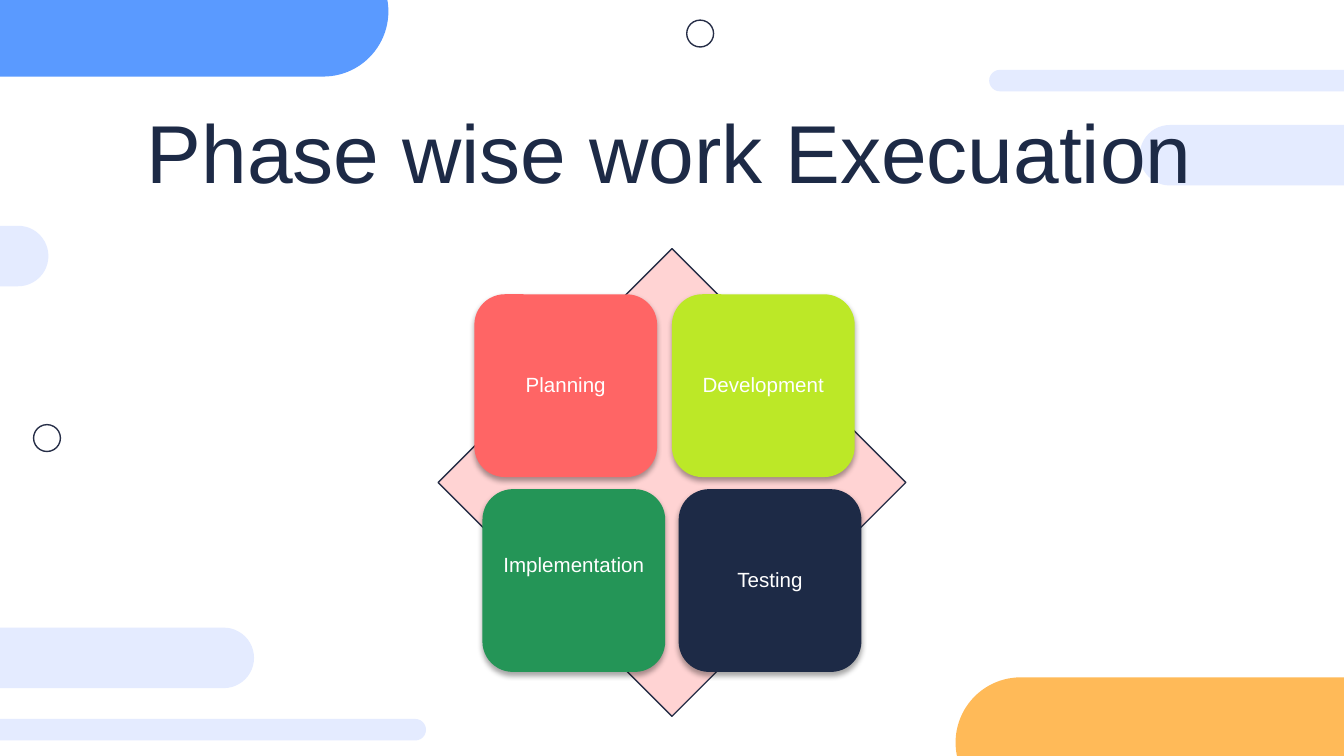
"""Build the slide that shows the four phases of work around a diamond."""
from lxml.etree import SubElement
from pptx import Presentation
from pptx.dml.color import RGBColor
from pptx.enum.shapes import MSO_SHAPE
from pptx.enum.text import MSO_ANCHOR, MSO_AUTO_SIZE, PP_ALIGN
from pptx.oxml.ns import qn
from pptx.util import Inches, Pt

WHITE = RGBColor(0xFF, 0xFF, 0xFF)
NAVY = RGBColor(0x1D, 0x2A, 0x46)
OUTLINE = RGBColor(0x26, 0x2E, 0x47)
BLUE = RGBColor(0x5A, 0x9A, 0xFF)
PALE_BLUE = RGBColor(0xE4, 0xEB, 0xFF)
ORANGE = RGBColor(0xFF, 0xBA, 0x58)
PINK = RGBColor(0xFF, 0xD3, 0xD3)
RED = RGBColor(0xFF, 0x65, 0x65)
LIME = RGBColor(0xBC, 0xE8, 0x27)
GREEN = RGBColor(0x24, 0x95, 0x57)

SLIDE_WIDTH = 10
SLIDE_HEIGHT = SLIDE_WIDTH * 9 / 16

LARGE_PILL = (3.81, 0.97)
MEDIUM_PILL = (2.22, 0.45)
THIN_PILL = (3.81, 0.16)
PILLS = [
    (-0.92, -0.4, LARGE_PILL, BLUE),
    (7.36, 0.52, THIN_PILL, PALE_BLUE),
    (8.48, 0.93, MEDIUM_PILL, PALE_BLUE),
    (-1.86, 1.68, MEDIUM_PILL, PALE_BLUE),
    (7.11, 5.04, LARGE_PILL, ORANGE),
    (-0.33, 4.67, MEDIUM_PILL, PALE_BLUE),
    (-0.64, 5.35, THIN_PILL, PALE_BLUE),
]
RINGS = [(0.25, 3.16), (5.11, 0.15)]
PHASES = [
    ("Planning", 3.53, 2.19, RED, 0),
    ("Development", 5, 2.19, LIME, 0),
    ("Implementation", 3.59, 3.64, GREEN, 0.22),
    ("Testing", 5.05, 3.64, NAVY, 0),
]


def write_text(frame, text, *, size, color, anchor, font="Arial", line_spacing=1.0):
    """Fill a text frame with one centred, formatted paragraph."""
    frame.word_wrap = True
    frame.auto_size = MSO_AUTO_SIZE.NONE
    frame.vertical_anchor = anchor
    paragraph = frame.paragraphs[0]
    paragraph.alignment = PP_ALIGN.CENTER
    paragraph.line_spacing = line_spacing
    run = paragraph.add_run()
    run.text = text
    run.font.name = font
    run.font.size = Pt(size)
    run.font.color.rgb = color


class PhaseSlide:
    """Hold the style and the current slide, and draw its elements."""

    tile_size = 1.36
    tile_inset = 0.05
    ring_size = 0.2
    line_width = 0.75

    def __init__(self, presentation):
        """Add a title-only slide."""
        self.slide = presentation.slides.add_slide(presentation.slide_layouts[5])

    def shape(self, kind, left, top, width, height, fill=None, line=None):
        """Draw a flat preset shape."""
        shape = self.slide.shapes.add_shape(
            kind, Inches(left), Inches(top), Inches(width), Inches(height)
        )
        shape.shadow.inherit = False
        if fill is None:
            shape.fill.background()
        else:
            shape.fill.solid()
            shape.fill.fore_color.rgb = fill
        if line is None:
            shape.line.fill.background()
        else:
            shape.line.color.rgb = line
            shape.line.width = Pt(self.line_width)
        return shape

    def pill(self, left, top, size, color):
        """Draw a bar with fully rounded ends."""
        shape = self.shape(MSO_SHAPE.ROUNDED_RECTANGLE, left, top, *size, fill=color)
        shape.adjustments[0] = 0.5

    def ring(self, left, top):
        """Draw a small outlined circle."""
        self.shape(MSO_SHAPE.OVAL, left, top, self.ring_size, self.ring_size, line=OUTLINE)

    def diamond(self, left, top, size):
        """Draw the diamond behind the phase tiles."""
        self.shape(MSO_SHAPE.DIAMOND, left, top, size, size, fill=PINK, line=OUTLINE)

    def tile(self, text, left, top, color, lift):
        """Draw a phase tile whose label is raised by half of lift."""
        shape = self.shape(
            MSO_SHAPE.ROUNDED_RECTANGLE, left, top, self.tile_size, self.tile_size, fill=color
        )
        self.drop_shadow(shape)
        frame = shape.text_frame
        frame.margin_left = frame.margin_right = frame.margin_top = Inches(self.tile_inset)
        frame.margin_bottom = Inches(self.tile_inset + lift)
        write_text(
            frame, text, size=11, color=WHITE, anchor=MSO_ANCHOR.MIDDLE, line_spacing=0.9
        )

    def drop_shadow(self, shape):
        """Give a shape a soft shadow below it."""
        effects = shape.element.spPr.find(qn("a:effectLst"))
        shadow = SubElement(
            effects,
            qn("a:outerShdw"),
            blurRad=str(Pt(3.1)),
            dist=str(Pt(1.8)),
            dir="5400000",
            rotWithShape="0",
        )
        color = SubElement(shadow, qn("a:srgbClr"), val="000000")
        SubElement(color, qn("a:alpha"), val="35000")

    def title(self, text, left, top, width, height):
        """Place the title in front of the other elements."""
        title = self.slide.shapes.title
        title.left, title.top = Inches(left), Inches(top)
        title.width, title.height = Inches(width), Inches(height)
        frame = title.text_frame
        frame.margin_bottom = Inches(0.07)
        write_text(frame, text, size=44, color=NAVY, anchor=MSO_ANCHOR.BOTTOM)
        self.slide.shapes.element.append(title.element)


def main():
    """Build and save the presentation."""
    presentation = Presentation()
    presentation.slide_width = Inches(SLIDE_WIDTH)
    presentation.slide_height = Inches(SLIDE_HEIGHT)
    page = PhaseSlide(presentation)
    for pill in PILLS:
        page.pill(*pill)
    for ring in RINGS:
        page.ring(*ring)
    page.diamond(3.26, 1.85, 3.48)
    for phase in PHASES:
        page.tile(*phase)
    page.title("Phase wise work Execuation", -0.28, 0.71, 10.53, 0.85)
    presentation.save("out.pptx")


if __name__ == "__main__":
    main()
